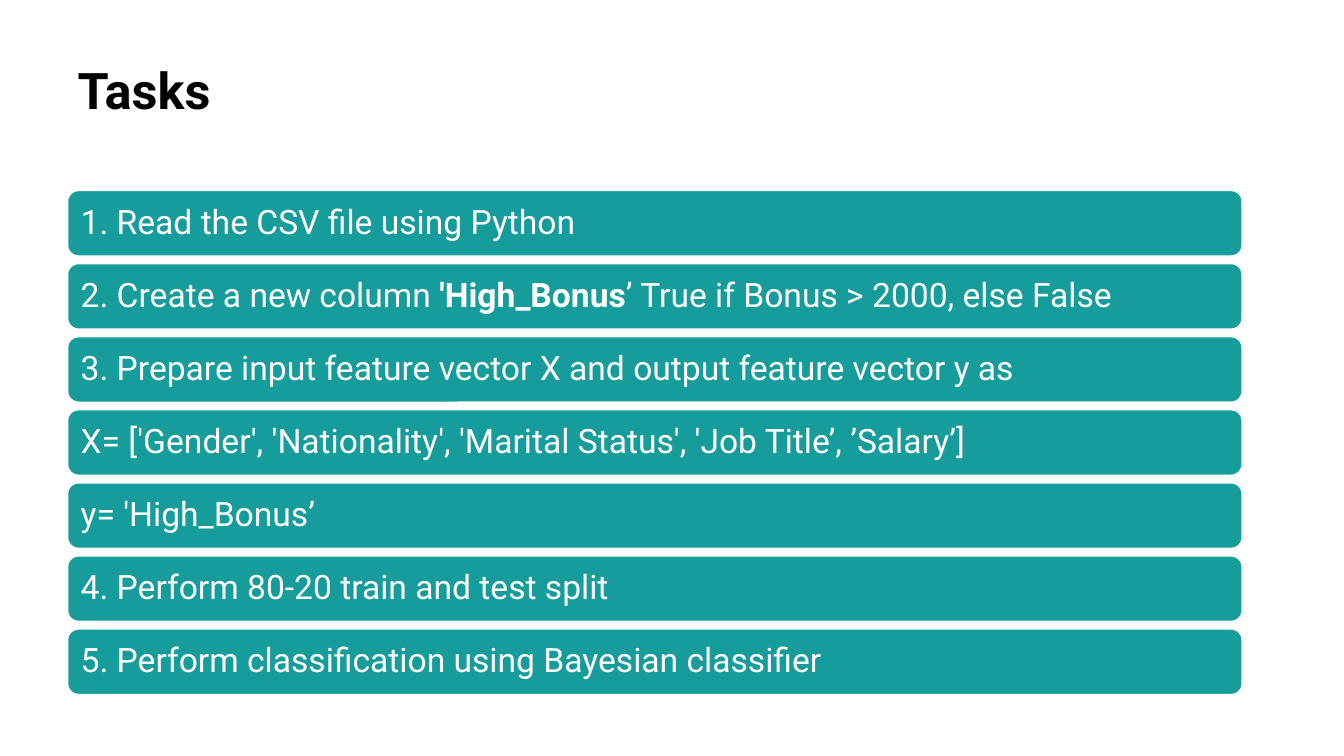
from pptx import Presentation
from pptx.dml.color import RGBColor
from pptx.enum.shapes import MSO_SHAPE as Shape
from pptx.enum.text import MSO_ANCHOR as Anchor, PP_ALIGN as Align
from pptx.util import Inches, Pt

COLORS = {"bar": "169C9A", "white": "FFFFFF", "title": "000000"}
FONT = "Roboto"
LEFT, WIDTH = 0.67, 11.65
FIRST_TOP, LAST_TOP, BAR_HEIGHT = 1.89, 6.24, 0.65
TASKS = [
    [("1. Read the CSV file using Python", False)],
    [
        ("2. Create a new column ", False),
        ("'High_Bonus", True),
        ("’ True if Bonus > 2000, else False", False),
    ],
    [("3. Prepare input feature vector X and output feature vector y as", False)],
    [("X= ['Gender', 'Nationality', 'Marital Status', 'Job Title’, ’Salary’]", False)],
    [("y= 'High_Bonus’", False)],
    [("4. Perform 80-20 train and test split", False)],
    [("5. Perform classification using Bayesian classifier", False)],
]


def color(name):
    """Return the named palette colour."""
    return RGBColor.from_string(COLORS[name])


def format_paragraph(paragraph, size, color_name):
    """Apply the slide's font, line spacing and left alignment."""
    paragraph.alignment = Align.LEFT
    paragraph.line_spacing = 0.9
    paragraph.font.name = FONT
    paragraph.font.size = Pt(size)
    paragraph.font.color.rgb = color(color_name)


def set_title(slide, text):
    """Place and format the title placeholder."""
    title = slide.shapes.title
    title.left, title.top = Inches(LEFT), Inches(0.6)
    title.width, title.height = Inches(WIDTH), Inches(1.24)
    title.text_frame.text = text
    title.text_frame.vertical_anchor = Anchor.TOP
    paragraph = title.text_frame.paragraphs[0]
    format_paragraph(paragraph, 36, "title")
    paragraph.font.bold = True


def add_task_bar(slide, top, runs):
    """Add one rounded bar holding a task made of (text, bold) runs."""
    bar = slide.shapes.add_shape(
        Shape.ROUNDED_RECTANGLE,
        Inches(LEFT), Inches(top), Inches(WIDTH), Inches(BAR_HEIGHT),
    )
    bar.shadow.inherit = False
    bar.fill.solid()
    bar.fill.fore_color.rgb = color("bar")
    bar.line.color.rgb = color("white")
    bar.line.width = Pt(1)
    frame = bar.text_frame
    frame.word_wrap = True
    frame.vertical_anchor = Anchor.MIDDLE
    frame.margin_left = frame.margin_right = Inches(0.1)
    frame.margin_top = frame.margin_bottom = Inches(0.05)
    paragraph = frame.paragraphs[0]
    format_paragraph(paragraph, 24, "white")
    for text, bold in runs:
        run = paragraph.add_run()
        run.text = text
        run.font.bold = bold


def main():
    """Build the task list slide and save it."""
    presentation = Presentation()
    presentation.slide_width = Inches(13.33)
    presentation.slide_height = Inches(7.5)
    slide = presentation.slides.add_slide(presentation.slide_layouts[5])
    set_title(slide, "Tasks")
    pitch = (LAST_TOP - FIRST_TOP) / (len(TASKS) - 1)
    for index, runs in enumerate(TASKS):
        add_task_bar(slide, FIRST_TOP + index * pitch, runs)
    presentation.save("out.pptx")


if __name__ == "__main__":
    main()
